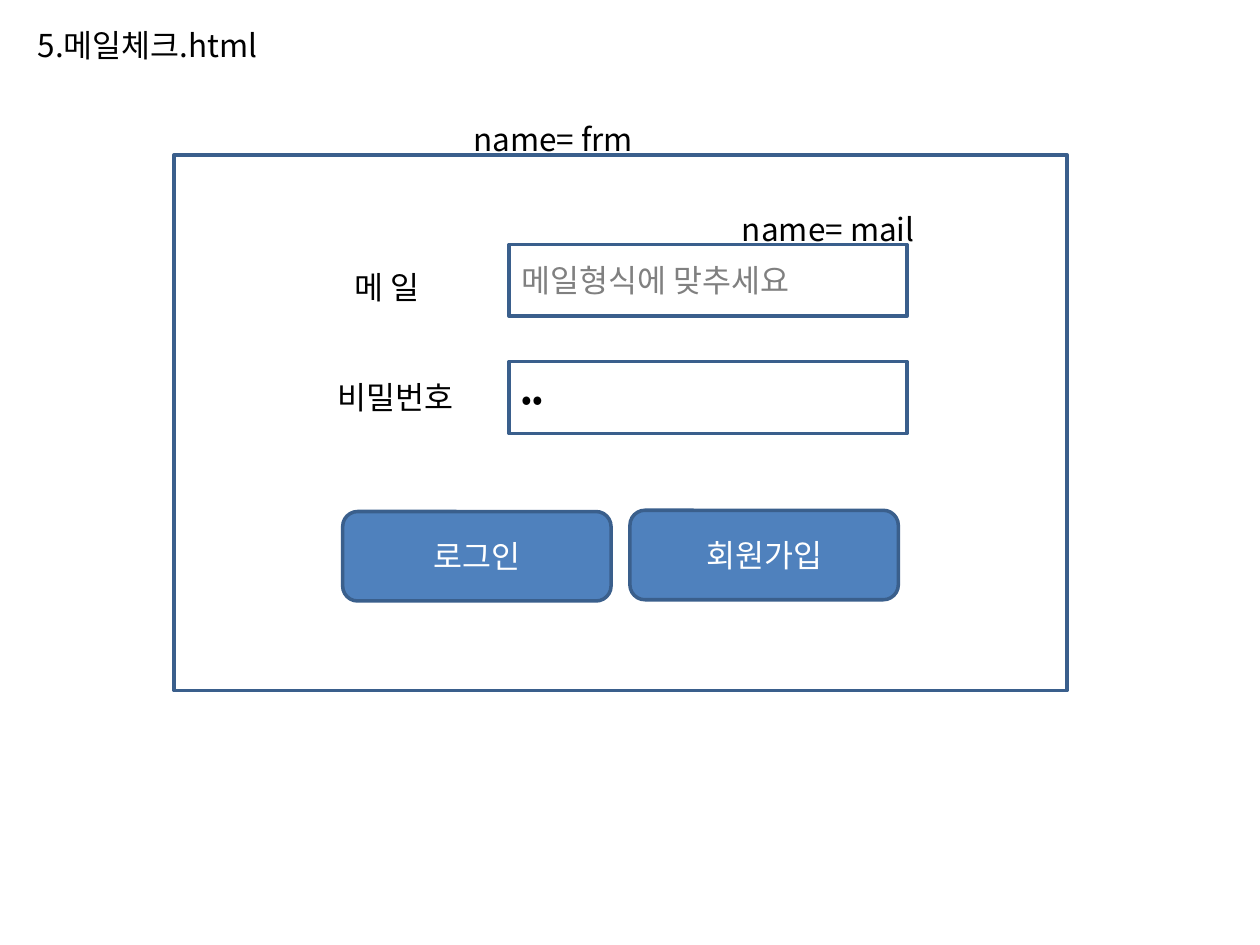
from pptx import Presentation
from pptx.dml.color import RGBColor
from pptx.enum.shapes import MSO_SHAPE
from pptx.enum.text import MSO_ANCHOR, MSO_AUTO_SIZE, PP_ALIGN
from pptx.oxml.ns import qn
from pptx.util import Inches, Pt
from lxml.etree import SubElement

FONT = "Noto Sans CJK KR"
BLACK = RGBColor(0x00, 0x00, 0x00)
WHITE = RGBColor(0xFF, 0xFF, 0xFF)
GRAY = RGBColor(0x80, 0x80, 0x80)
BLUE = RGBColor(0x4F, 0x81, 0xBD)
NAVY = RGBColor(0x3A, 0x5F, 0x8C)

deck = Presentation()
deck.slide_width, deck.slide_height = Inches(10), Inches(7.5)
page = deck.slides.add_slide(deck.slide_layouts[6])


def write(box, text, color=BLACK, align=PP_ALIGN.LEFT):
    para = box.text_frame.paragraphs[0]
    para.alignment = align
    span = para.add_run()
    span.text = text
    span.font.size = Pt(18)
    span.font.name = FONT
    span.font.color.rgb = color
    SubElement(span.font._element, qn("a:ea")).set("typeface", FONT)


def add_box(kind, left, top, width, height, fill=None):
    box = page.shapes.add_shape(
        kind, Inches(left), Inches(top), Inches(width), Inches(height))
    box.shadow.inherit = False
    if fill is None:
        box.fill.background()
    else:
        box.fill.solid()
        box.fill.fore_color.rgb = fill
    box.line.color.rgb = NAVY
    box.line.width = Pt(2)
    box.text_frame.word_wrap = True
    box.text_frame.vertical_anchor = MSO_ANCHOR.MIDDLE
    return box


add_box(MSO_SHAPE.RECTANGLE, 1.38, 1.23, 7.09, 4.25)

fields = [("메일형식에 맞추세요", GRAY), ("••", BLACK)]
for row, (text, color) in enumerate(fields):
    field = add_box(MSO_SHAPE.RECTANGLE, 4.04, 1.94 + 0.93 * row, 3.16, 0.57)
    write(field, text, color=color)

buttons = [("로그인", 2.72, 4.06), ("회원가입", 5, 4.05)]
for text, left, top in buttons:
    button = add_box(MSO_SHAPE.ROUNDED_RECTANGLE, left, top, 2.13, 0.71, fill=BLUE)
    write(button, text, color=WHITE, align=PP_ALIGN.CENTER)

labels = [
    (" 메 일", 2.66, 2.08, 0.89),
    ("비밀번호", 2.58, 2.95, 1.21),
    ("name= frm", 3.66, 0.9, 1.5),
    ("name= mail", 5.79, 1.62, 1.58),
    ("5.메일체크.html", 0.2, 0.16, 1.98),
]
for text, left, top, width in labels:
    label = page.shapes.add_textbox(
        Inches(left), Inches(top), Inches(width), Inches(0.4))
    label.text_frame.word_wrap = False
    label.text_frame.auto_size = MSO_AUTO_SIZE.SHAPE_TO_FIT_TEXT
    write(label, text)

deck.save("out.pptx")
